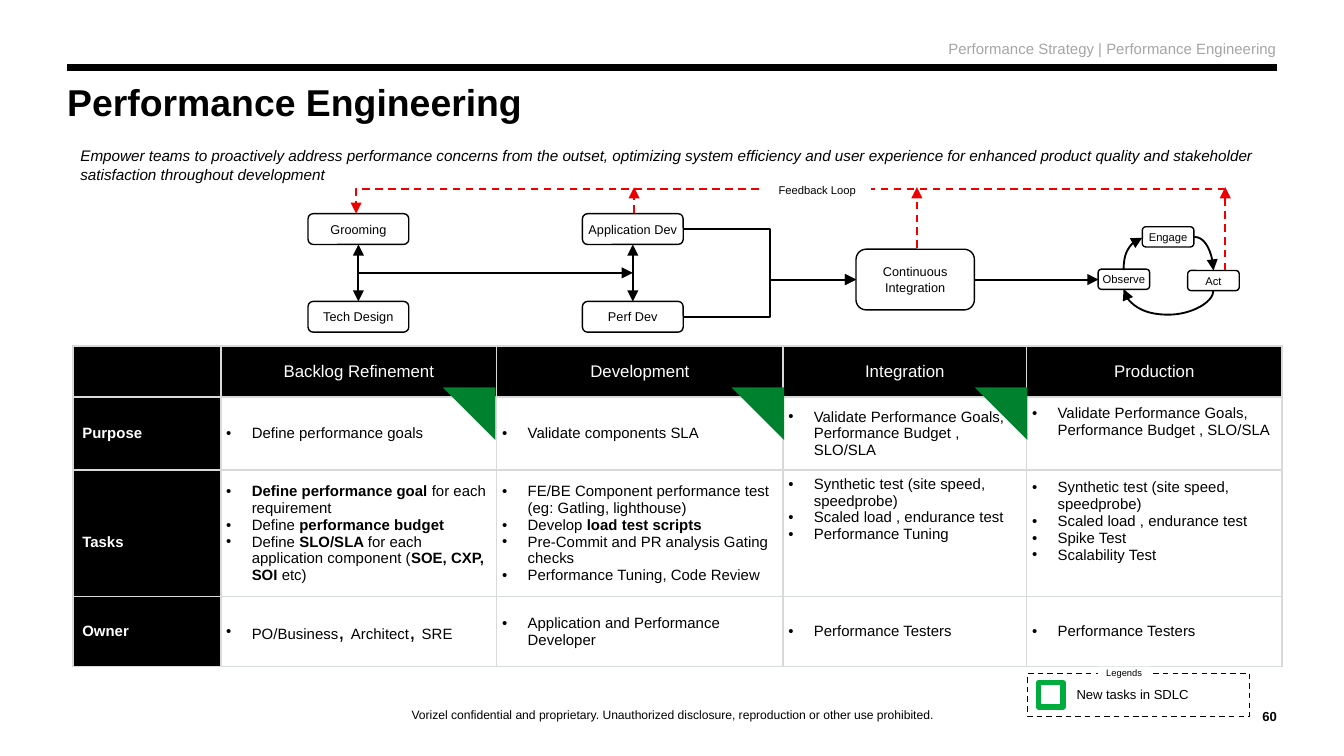
from lxml import etree
from pptx import Presentation
from pptx.dml.color import RGBColor
from pptx.enum.dml import MSO_LINE
from pptx.enum.shapes import MSO_CONNECTOR, MSO_SHAPE
from pptx.enum.text import MSO_ANCHOR, PP_ALIGN
from pptx.oxml.ns import qn
from pptx.util import Pt

BLACK = RGBColor(0x00, 0x00, 0x00)
WHITE = RGBColor(0xFF, 0xFF, 0xFF)
GREY = RGBColor(0xA5, 0xA5, 0xA5)
RED = RGBColor(0xEE, 0x00, 0x00)
GREEN = RGBColor(0x00, 0x81, 0x2E)
LEGEND_GREEN = RGBColor(0x00, 0xAC, 0x3E)
BORDER = RGBColor(0xD8, 0xDA, 0xDA)

RECT, ROUND, TRIANGLE = MSO_SHAPE.RECTANGLE, MSO_SHAPE.ROUNDED_RECTANGLE, MSO_SHAPE.ISOSCELES_TRIANGLE
STRAIGHT, ELBOW, CURVE = MSO_CONNECTOR.STRAIGHT, MSO_CONNECTOR.ELBOW, MSO_CONNECTOR.CURVE
LEFT, CENTER, RIGHT = PP_ALIGN.LEFT, PP_ALIGN.CENTER, PP_ALIGN.RIGHT
TOP, MIDDLE, BOTTOM = MSO_ANCHOR.TOP, MSO_ANCHOR.MIDDLE, MSO_ANCHOR.BOTTOM
DASH = MSO_LINE.DASH

COLUMNS = [79.2, 147.8, 153.3, 130.6, 136.8]
ROWS = [26.8, 39.2, 67.7, 37.6]
HEADERS = ["", "Backlog Refinement", "Development", "Integration", "Production"]
GOALS = "Validate Performance Goals, Performance Budget , SLO/SLA"
SYNTHETIC = "Synthetic test (site speed, speedprobe)"
ENDURANCE = "Scaled load , endurance test"
BODY = [
    ("Purpose", ["Define performance goals"], ["Validate components SLA"], [GOALS], [GOALS]),
    ("Tasks",
     ["*Define performance goal |for each requirement",
      "Define |*performance budget",
      "Define |*SLO/SLA |for each application component (|*SOE, CXP, SOI |etc)"],
     ["FE/BE Component performance test (eg: Gatling, lighthouse)",
      "Develop |*load test scripts",
      "Pre-Commit and PR analysis Gating checks",
      "Performance Tuning, Code Review"],
     [SYNTHETIC, ENDURANCE, "Performance Tuning"],
     [SYNTHETIC, ENDURANCE, "Spike Test", "Scalability Test"]),
    ("Owner", ["PO/Business|, |Architect|, |SRE"], ["Application and Performance Developer"],
     ["Performance Testers"], ["Performance Testers"]),
]


def style_run(r, size, color=BLACK, bold=False, italic=False):
    r.font.name = "Arial"
    r.font.size = Pt(size)
    r.font.color.rgb = color
    r.font.bold = bold
    r.font.italic = italic


def fill_text(s, text, size, align=LEFT, anchor=TOP, margins=(0, 0), color=BLACK,
              bold=False, italic=False, spacing=None):
    tf = s.text_frame
    tf.word_wrap = True
    tf.vertical_anchor = anchor
    tf.margin_left = tf.margin_right = Pt(margins[0])
    tf.margin_top = tf.margin_bottom = Pt(margins[1])
    tf.text = text
    p = tf.paragraphs[0]
    p.alignment = align
    if spacing:
        p.line_spacing = spacing
    style_run(p.runs[0], size, color, bold, italic)


def add_text(slide, box, text, size, **style):
    s = slide.shapes.add_textbox(*map(Pt, box))
    fill_text(s, text, size, **style)


def add_box(slide, kind, box, fill=None, line=None, width=0.75, dash=None):
    s = slide.shapes.add_shape(kind, *map(Pt, box))
    s.shadow.inherit = False
    if fill is None:
        s.fill.background()
    else:
        s.fill.solid()
        s.fill.fore_color.rgb = fill
    if line is None:
        s.line.fill.background()
    else:
        s.line.color.rgb = line
        s.line.width = Pt(width)
        s.line.dash_style = dash
    return s


def add_step(slide, box, text, size=6.8):
    s = add_box(slide, ROUND, box, line=BLACK)
    s.adjustments[0] = 0.167
    fill_text(s, text, size, align=CENTER, anchor=MIDDLE, margins=(0.7, 0.7))


def add_line(slide, start, end, kind=STRAIGHT, color=BLACK, width=1, dash=None,
             ends=("tailEnd",), preset=None, rotation=0, adjust=None):
    s = slide.shapes.add_connector(kind, *map(Pt, start + end))
    s.line.color.rgb = color
    s.line.width = Pt(width)
    s.line.dash_style = dash
    ln = s.line._get_or_add_ln()
    for tag in ends:
        etree.SubElement(ln, qn("a:" + tag), type="triangle")
    props = s._element.spPr
    etree.SubElement(props, qn("a:effectLst"))
    geometry = props.find(qn("a:prstGeom"))
    if preset:
        geometry.set("prst", preset)
    if rotation:
        props.find(qn("a:xfrm")).set("rot", str(rotation * 60000))
    if adjust is not None:
        guides = geometry.find(qn("a:avLst"))
        etree.SubElement(guides, qn("a:gd"), name="adj1", fmla=f"val {adjust}")


def add_frame(slide):
    add_text(slide, (80, 363, 561, 23.6),
             "Vorizel confidential and proprietary. Unauthorized disclosure, "
             "reproduction or other use prohibited.",
             6.5, align=CENTER, anchor=BOTTOM, spacing=1.14)
    add_line(slide, (36, 36), (684, 36), width=3.75, ends=())
    add_text(slide, (36, 46.8, 558, 44.6), "Performance Engineering", 20, bold=True, spacing=0.8)
    add_text(slide, (666, 370, 18, 18), "60", 7, align=RIGHT, anchor=BOTTOM, bold=True)
    add_text(slide, (36, 21, 648, 13.7), "Performance Strategy | Performance Engineering", 8,
             align=RIGHT, color=GREY)
    add_text(slide, (36, 75, 648, 27.4),
             "Empower teams to proactively address performance concerns from the outset, "
             "optimizing system efficiency and user experience for enhanced product quality and "
             "stakeholder satisfaction throughout development",
             8.2, margins=(7.2, 3.6), italic=True)


def add_flow(slide):
    pairs = [(165, "Grooming", "Tech Design"), (312, "Application Dev", "Perf Dev")]
    for x, upper, lower in pairs:
        add_step(slide, (x, 114.5, 54, 16.5), upper)
        add_step(slide, (x, 161.5, 54, 16.5), lower)
        add_line(slide, (x + 27, 131), (x + 27, 161.5), ends=("headEnd", "tailEnd"))
    add_line(slide, (192, 146.2), (339, 146.2))
    add_step(slide, (458.6, 133.5, 63.4, 32.5), "Continuous Integration")
    for y in (122.7, 169.7):
        add_line(slide, (366, y), (458.6, 149.8), ELBOW)
    add_line(slide, (522, 149.8), (588.5, 149.8))
    for x, y, text in [(636.3, 144.9, "Act"), (612, 121.5, "Engage"), (588.3, 144.2, "Observe")]:
        add_step(slide, (x, y, 27.6, 10.8), text, 6)
    add_line(slide, (639.8, 126.9), (650.1, 144.9), CURVE, preset="curvedConnector2")
    add_line(slide, (626.4, 131.1), (625.7, 179.3), CURVE, rotation=90, adjust=-1843600)
    add_line(slide, (598.3, 131), (615.6, 141), CURVE, preset="curvedConnector2", rotation=270)


def add_feedback(slide):
    loop = dict(color=RED, dash=DASH)
    add_line(slide, (656.4, 101.2), (190.8, 114.5), ELBOW, preset="bentConnector2", **loop)
    s = add_box(slide, RECT, (409, 94.5, 57.6, 14.4), fill=WHITE)
    fill_text(s, "Feedback Loop", 6, align=CENTER, margins=(3.6, 3.6))
    for x, y in [(491.2, 132.8), (656.4, 144.9), (339.7, 114)]:
        add_line(slide, (x, y), (x, 100.3), **loop)


def style_cell(cell, fill, side_margin):
    props = cell._tc.get_or_add_tcPr()
    for tag in ("lnL", "lnR", "lnT", "lnB"):
        ln = etree.SubElement(props, qn("a:" + tag), w=str(Pt(1)))
        solid = etree.SubElement(ln, qn("a:solidFill"))
        etree.SubElement(solid, qn("a:srgbClr"), val=str(BORDER))
    cell.fill.solid()
    cell.fill.fore_color.rgb = fill
    cell.vertical_anchor = MIDDLE
    cell.margin_left = cell.margin_right = Pt(side_margin)
    cell.margin_top = cell.margin_bottom = Pt(2.9)


def fill_label(cell, text, size, align, bold):
    style_cell(cell, BLACK, 5)
    if text:
        cell.text_frame.text = text
        p = cell.text_frame.paragraphs[0]
        p.alignment = align
        style_run(p.runs[0], size, WHITE, bold)


def fill_bullets(cell, items):
    style_cell(cell, WHITE, 2.9)
    tf = cell.text_frame
    for i, item in enumerate(items):
        p = tf.paragraphs[0] if i == 0 else tf.add_paragraph()
        props = p._p.get_or_add_pPr()
        props.set("marL", str(Pt(13.7)))
        props.set("indent", str(Pt(-13.7)))
        etree.SubElement(props, qn("a:buFont"), typeface="Arial")
        etree.SubElement(props, qn("a:buChar"), char="•")
        for piece in item.split("|"):
            r = p.add_run()
            r.text = piece.removeprefix("*")
            style_run(r, 12 if piece == ", " else 8, bold=piece.startswith("*"))


def add_phases(slide):
    s = slide.shapes.add_table(len(ROWS), len(COLUMNS), Pt(39.1), Pt(185.3),
                               Pt(sum(COLUMNS)), Pt(sum(ROWS)))
    table = s.table
    for column, width in zip(table.columns, COLUMNS):
        column.width = Pt(width)
    for row, height in zip(table.rows, ROWS):
        row.height = Pt(height)
    for c, text in enumerate(HEADERS):
        fill_label(table.cell(0, c), text, 9, CENTER, False)
    for r, (label, *cells) in enumerate(BODY, 1):
        fill_label(table.cell(r, 0), label, 8, LEFT, True)
        for c, items in enumerate(cells, 1):
            fill_bullets(table.cell(r, c), items)
    table.cell(2, 0).margin_top = Pt(12)
    table.cell(2, 3).vertical_anchor = TOP
    for r in (1, 2):
        table.cell(r, 4).margin_bottom = Pt(16)
    for x in (237.2, 391.8, 522.2):
        s = add_box(slide, TRIANGLE, (x, 207.5, 28.2, 28.2), fill=GREEN)
        s.adjustments[0] = 1
        s.rotation = 270


def add_legend(slide):
    add_box(slide, RECT, (556.4, 365.7, 13, 13), line=LEGEND_GREEN, width=3)
    add_box(slide, RECT, (550.6, 360.8, 118.8, 23), line=BLACK, dash=DASH)
    s = add_box(slide, RECT, (588.2, 357.2, 28.1, 5.8), fill=WHITE)
    fill_text(s, "Legends", 5, align=CENTER)
    add_text(slide, (576.7, 368, 87, 8.6), "New tasks in SDLC", 7)


def main():
    prs = Presentation()
    prs.slide_width, prs.slide_height = Pt(720), Pt(405)
    slide = prs.slides.add_slide(prs.slide_layouts[6])
    add_frame(slide)
    add_flow(slide)
    add_feedback(slide)
    add_phases(slide)
    add_legend(slide)
    prs.save("out.pptx")


if __name__ == "__main__":
    main()
